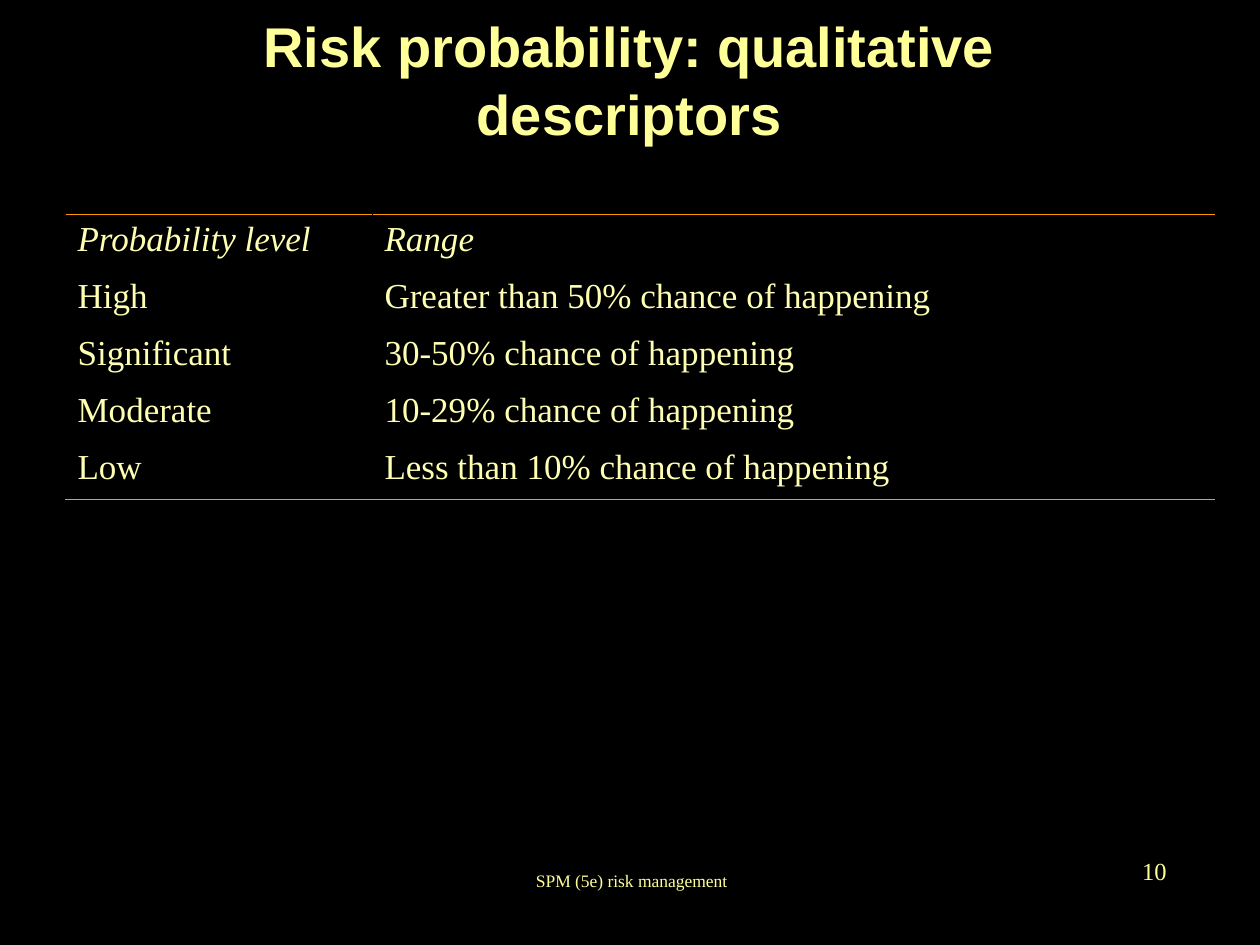
from lxml import etree
from pptx import Presentation
from pptx import util as u
from pptx.dml.color import RGBColor
from pptx.enum import text
from pptx.oxml.ns import qn

SCALE = 914400 / 126
SERIF = "Times New Roman"
YELLOW, CREAM, ORANGE, BLACK = "FFFF99", "FFFFB3", "FF9900", "000000"
ROWS = [
    ("Probability level", "Range"),
    ("High", "Greater than 50% chance of happening"),
    ("Significant", "30-50% chance of happening"),
    ("Moderate", "10-29% chance of happening"),
    ("Low", "Less than 10% chance of happening"),
]


def px(n):
    return u.Emu(round(n * SCALE))


def color(code):
    return RGBColor.from_string(code)


def style(para, size, code, align, face=SERIF, bold=False, italic=False):
    para.alignment = align
    for run in para.runs:
        font = run.font
        font.name, font.size = face, u.Pt(size)
        font.bold, font.italic = bold, italic
        font.color.rgb = color(code)


def label(slide, box, words, size, align, **look):
    frame = slide.shapes.add_textbox(*map(px, box)).text_frame
    frame.word_wrap = True
    frame.vertical_anchor = text.MSO_ANCHOR.MIDDLE
    frame.text = words
    style(frame.paragraphs[0], size, YELLOW, align, **look)


def border(cell, side, code, width):
    props = cell._tc.get_or_add_tcPr()
    line = etree.SubElement(props, qn("a:ln" + side), w=str(u.Pt(width)))
    fill = etree.SubElement(line, qn("a:solidFill"))
    etree.SubElement(fill, qn("a:srgbClr"), val=code)


# Risk levels, ruled only at the top and bottom
def levels(slide, box, first):
    x, y, w, h = box
    table = slide.shapes.add_table(len(ROWS), 2, *map(px, box)).table
    table.first_row = table.horz_banding = False
    for col, width in zip(table.columns, (first, w - first)):
        col.width = px(width)
    last = len(ROWS) - 1
    for r, row in enumerate(ROWS):
        table.rows[r].height = px(h // len(ROWS))
        for c, words in enumerate(row):
            cell = table.cell(r, c)
            cell.text = words
            style(cell.text_frame.paragraphs[0], 20, CREAM,
                  text.PP_ALIGN.JUSTIFY, italic=r == 0)
            for side in "LRTB":
                edge = (r, side) in ((0, "T"), (last, "B"))
                border(cell, side, ORANGE if edge else BLACK,
                       0.45 if edge else 0.34)
            cell.fill.background()


# Footer text and slide number
def footer(slide, box):
    x, y, w, h = box
    label(slide, (x, y + 10, 399, 63), "SPM (5e) risk management", 10,
          text.PP_ALIGN.CENTER)
    label(slide, (x + w - 262, y, 262, 63), "10", 14, text.PP_ALIGN.RIGHT)


def main():
    deck = Presentation()
    deck.slide_width, deck.slide_height = px(1260), px(945)
    slide = deck.slides.add_slide(deck.slide_layouts[6])
    back = slide.background.fill
    back.solid()
    back.fore_color.rgb = color(BLACK)
    label(slide, (94, 0, 1071, 158),
          "Risk probability: qualitative descriptors", 32,
          text.PP_ALIGN.CENTER, face="Arial", bold=True)
    levels(slide, (65, 214, 1150, 285), 307)
    footer(slide, (432, 839, 747, 73))
    deck.save("out.pptx")


if __name__ == "__main__":
    main()
